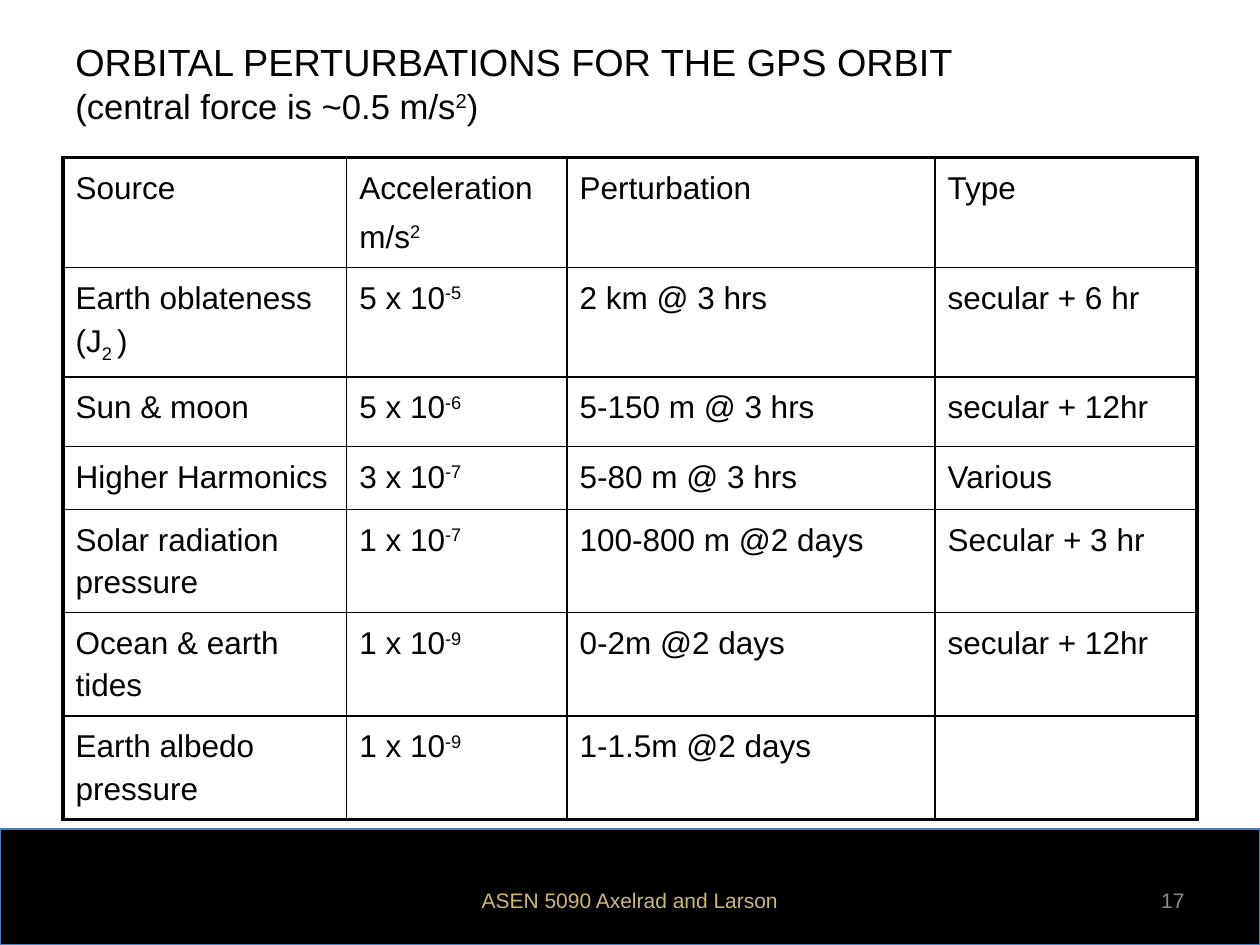
from lxml.etree import SubElement
from pptx import Presentation
from pptx.dml.color import RGBColor
from pptx.enum.shapes import MSO_SHAPE
from pptx.enum.text import MSO_ANCHOR, PP_ALIGN
from pptx.oxml.ns import qn
from pptx.util import Cm, Pt

BLACK = RGBColor(0x00, 0x00, 0x00)
BLUE = RGBColor(0x4B, 0x7E, 0xBC)
GOLD = RGBColor(0xCF, 0xB8, 0x79)
GREY = RGBColor(0x8C, 0x8C, 0x8C)

FONT = "Arial"
BASELINES = {"^": "30000", "_": "-25000"}
THIN, THICK = Pt(1), Pt(2.25)

COLUMN_WIDTHS = [5.72, 4.44, 7.42, 5.28]
ROW_HEIGHTS = [0.76, 1.42, 1.4, 1.27, 1.42, 1.42, 1.42]
ROWS = [
    ("Source", "Acceleration\nm/s|^2", "Perturbation", "Type"),
    ("Earth oblateness (J|_2 |)", "5 x 10|^-5", "2 km @ 3 hrs", "secular + 6 hr"),
    ("Sun & moon", "5 x 10|^-6", "5-150 m @ 3 hrs", "secular + 12hr"),
    ("Higher Harmonics", "3 x 10|^-7", "5-80 m @ 3 hrs", "Various"),
    ("Solar radiation pressure", "1 x 10|^-7", "100-800 m @2 days", "Secular + 3 hr"),
    ("Ocean & earth tides", "1 x 10|^-9", "0-2m @2 days", "secular + 12hr"),
    ("Earth albedo pressure", "1 x 10|^-9", "1-1.5m @2 days", ""),
]


def add_runs(paragraph, marked_text, size, color=BLACK):
    """Split at |; a piece starting with ^ is raised, one with _ is lowered."""
    for piece in filter(None, marked_text.split("|")):
        run = paragraph.add_run()
        baseline = BASELINES.get(piece[0])
        run.text = piece[1:] if baseline else piece
        run.font.name, run.font.size = FONT, Pt(size)
        run.font.color.rgb = color
        if baseline:
            run.font._element.set("baseline", baseline)


def add_text_frame(slide, left, top, width, height):
    frame = slide.shapes.add_textbox(Cm(left), Cm(top), Cm(width), Cm(height)).text_frame
    frame.word_wrap = True
    frame.vertical_anchor = MSO_ANCHOR.MIDDLE
    return frame


def add_title(slide, left, top, width, height):
    heading = add_text_frame(slide, left, top, width, height).paragraphs[0]
    add_runs(heading, "ORBITAL PERTURBATIONS FOR THE GPS ORBIT ", 21.6)
    heading.add_line_break()
    add_runs(heading, "(central force is ~0.5 m/s|^2|)", 19.8)


def set_borders(cell, widths):
    """Draw the left, right, top and bottom borders in the given widths."""
    properties = cell._tc.get_or_add_tcPr()
    for side, width in zip("LRTB", widths):
        line = SubElement(properties, qn(f"a:ln{side}"), w=str(width))
        fill = SubElement(line, qn("a:solidFill"))
        SubElement(fill, qn("a:srgbClr"), val=str(BLACK))


def fill_cell(cell, marked_text):
    frame = cell.text_frame
    for index, line in enumerate(marked_text.split("\n")):
        paragraph = frame.add_paragraph() if index else frame.paragraphs[0]
        paragraph.line_spacing = 1.2
        before = SubElement(paragraph._p.get_or_add_pPr(), qn("a:spcBef"))
        SubElement(before, qn("a:spcPct"), val="20000")
        add_runs(paragraph, line, 18)


def add_perturbation_table(slide, left, top, width, height):
    holder = slide.shapes.add_table(len(ROWS), len(COLUMN_WIDTHS),
                                    Cm(left), Cm(top), Cm(width), Cm(height))
    table = holder.table
    table.first_row = table.horz_banding = False
    for column, column_width in zip(table.columns, COLUMN_WIDTHS):
        column.width = Cm(column_width)
    for row, row_height in zip(table.rows, ROW_HEIGHTS):
        row.height = Cm(row_height)
    holder.height = Cm(height)

    last_row, last_column = len(ROWS) - 1, len(COLUMN_WIDTHS) - 1
    for r, texts in enumerate(ROWS):
        for c, text in enumerate(texts):
            cell = table.cell(r, c)
            fill_cell(cell, text)
            on_edge = (c == 0, c == last_column, r == 0, r == last_row)
            set_borders(cell, [THICK if edge else THIN for edge in on_edge])
            cell.fill.background()


def add_footer(slide, left, top, width, height):
    band = slide.shapes.add_shape(MSO_SHAPE.RECTANGLE,
                                  Cm(left), Cm(top), Cm(width), Cm(height))
    band.shadow.inherit = False
    band.fill.solid()
    band.fill.fore_color.rgb = BLACK
    band.line.color.rgb = BLUE
    band.line.width = Pt(0.75)

    entries = [
        ("ASEN 5090 Axelrad and Larson", 8.68, 8.04, PP_ALIGN.CENTER, GOLD),
        ("17", 18.2, 5.93, PP_ALIGN.RIGHT, GREY),
    ]
    for text, offset, entry_width, alignment, color in entries:
        frame = add_text_frame(slide, left + offset, top + 0.94, entry_width, 1.01)
        entry = frame.paragraphs[0]
        entry.alignment = alignment
        add_runs(entry, text, 12, color)


def main():
    presentation = Presentation()
    presentation.slide_width, presentation.slide_height = Cm(25.4), Cm(19.05)
    slide = presentation.slides.add_slide(presentation.slide_layouts[6])
    add_footer(slide, 0, 16.71, 25.4, 2.34)
    add_title(slide, 1.27, 0.56, 22.86, 2.21)
    add_perturbation_table(slide, 1.27, 3.18, 22.86, 13.23)
    presentation.save("out.pptx")


if __name__ == "__main__":
    main()
